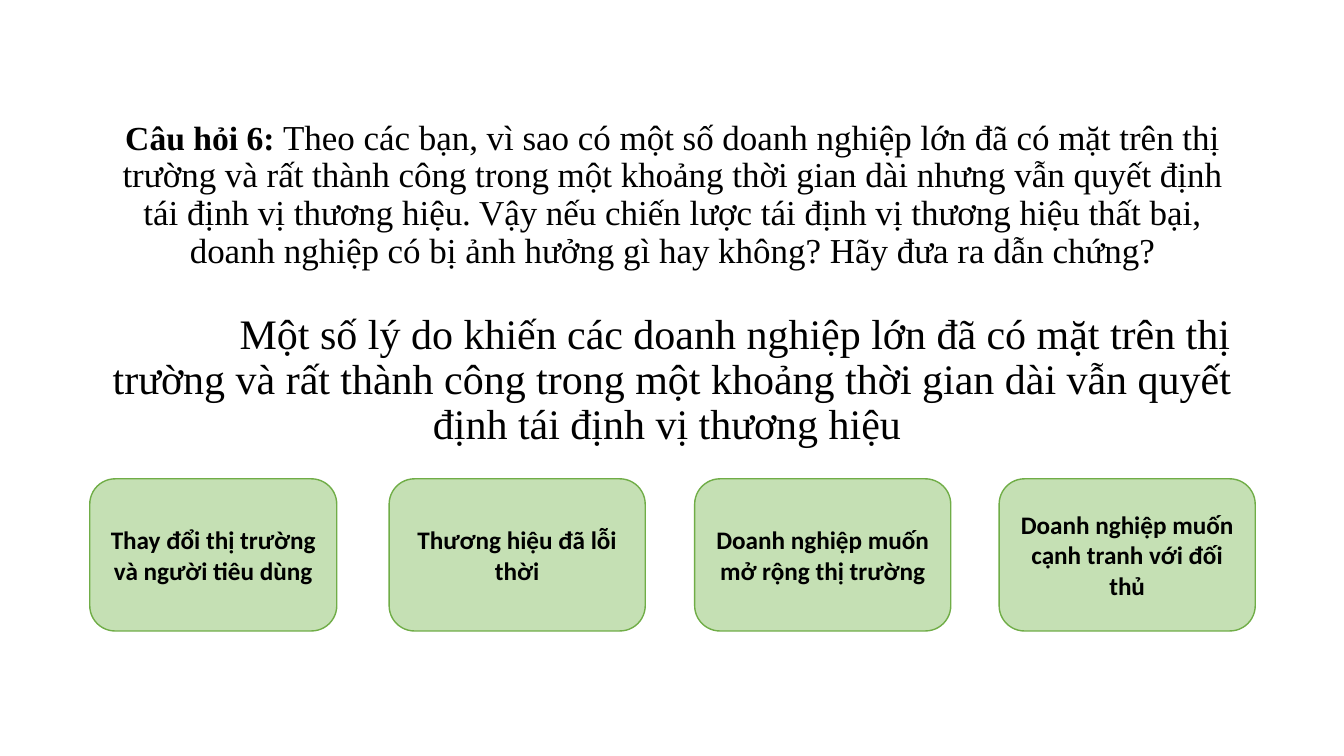
from pptx import Presentation
from pptx import util as u
from pptx.dml.color import RGBColor
from pptx.enum import shapes, text

BLACK = RGBColor(0x00, 0x00, 0x00)
PALE_GREEN = RGBColor(0xC5, 0xE0, 0xB4)
GREEN = RGBColor(0x70, 0xAD, 0x47)

QUESTION_LABEL = "Câu hỏi 6: "
QUESTION = (
    "Theo các bạn, vì sao có một số doanh nghiệp lớn đã có mặt trên thị trường "
    "và rất thành công trong một khoảng thời gian dài nhưng vẫn quyết định "
    "tái định vị thương hiệu. Vậy nếu chiến lược tái định vị thương hiệu thất bại, "
    "doanh nghiệp có bị ảnh hưởng gì hay không? Hãy đưa ra dẫn chứng?"
)
ANSWER_LEAD = (
    "Một số lý do khiến các doanh nghiệp lớn đã có mặt trên thị trường "
    "và rất thành công trong một khoảng thời gian dài vẫn quyết định "
    "tái định vị thương hiệu "
)
REASONS = [
    (0, 2.45, "Thay đổi thị trường và người tiêu dùng"),
    (2.97, 2.54, "Thương hiệu đã lỗi thời"),
    (6, 2.54, "Doanh nghiệp muốn mở rộng thị trường"),
    (9.02, 2.54, "Doanh nghiệp muốn cạnh tranh với đối thủ"),
]


def apply(target, formats):
    for attribute, value in formats.items():
        setattr(target, attribute, value)


def add_words(paragraph, words, font, size, bold):
    run = paragraph.add_run()
    run.text = words
    apply(run.font, {"name": font, "size": u.Pt(size), "bold": bold})
    run.font.color.rgb = BLACK


def add_question(slide, left, top, width, height):
    box = slide.shapes.add_textbox(*map(u.Inches, (left, top, width, height)))
    frame = box.text_frame
    apply(frame, {"word_wrap": True, "vertical_anchor": text.MSO_ANCHOR.TOP})
    question = frame.paragraphs[0]
    answer_lead = frame.add_paragraph()
    for paragraph in (question, answer_lead):
        apply(paragraph, {"alignment": text.PP_ALIGN.CENTER, "line_spacing": 0.9})
    add_words(question, QUESTION_LABEL, "Times New Roman", 24, True)
    add_words(question, QUESTION, "Times New Roman", 25, False)
    answer_lead.space_before = u.Pt(30)
    answer_lead._p.get_or_add_pPr().set("indent", str(u.Inches(1.25)))
    add_words(answer_lead, ANSWER_LEAD, "Times New Roman", 30, False)


def add_reasons(slide, left, top, height):
    for offset, width, reason in REASONS:
        card = slide.shapes.add_shape(
            shapes.MSO_SHAPE.ROUNDED_RECTANGLE,
            *map(u.Inches, (left + offset, top, width, height)),
        )
        card.shadow.inherit = False
        card.fill.solid()
        card.fill.fore_color.rgb = PALE_GREEN
        card.line.color.rgb = GREEN
        card.line.width = u.Pt(1)
        frame = card.text_frame
        apply(frame, {"word_wrap": True, "vertical_anchor": text.MSO_ANCHOR.MIDDLE})
        paragraph = frame.paragraphs[0]
        paragraph.alignment = text.PP_ALIGN.CENTER
        add_words(paragraph, reason, "Calibri", 18, True)


def main():
    deck = Presentation()
    apply(deck, {"slide_width": u.Inches(13.33), "slide_height": u.Inches(7.5)})
    slide = deck.slides.add_slide(deck.slide_layouts[6])
    add_question(slide, 0.92, 1.14, 11.5, 3.45)
    add_reasons(slide, 0.89, 4.75, 1.51)
    deck.save("out.pptx")


if __name__ == "__main__":
    main()
